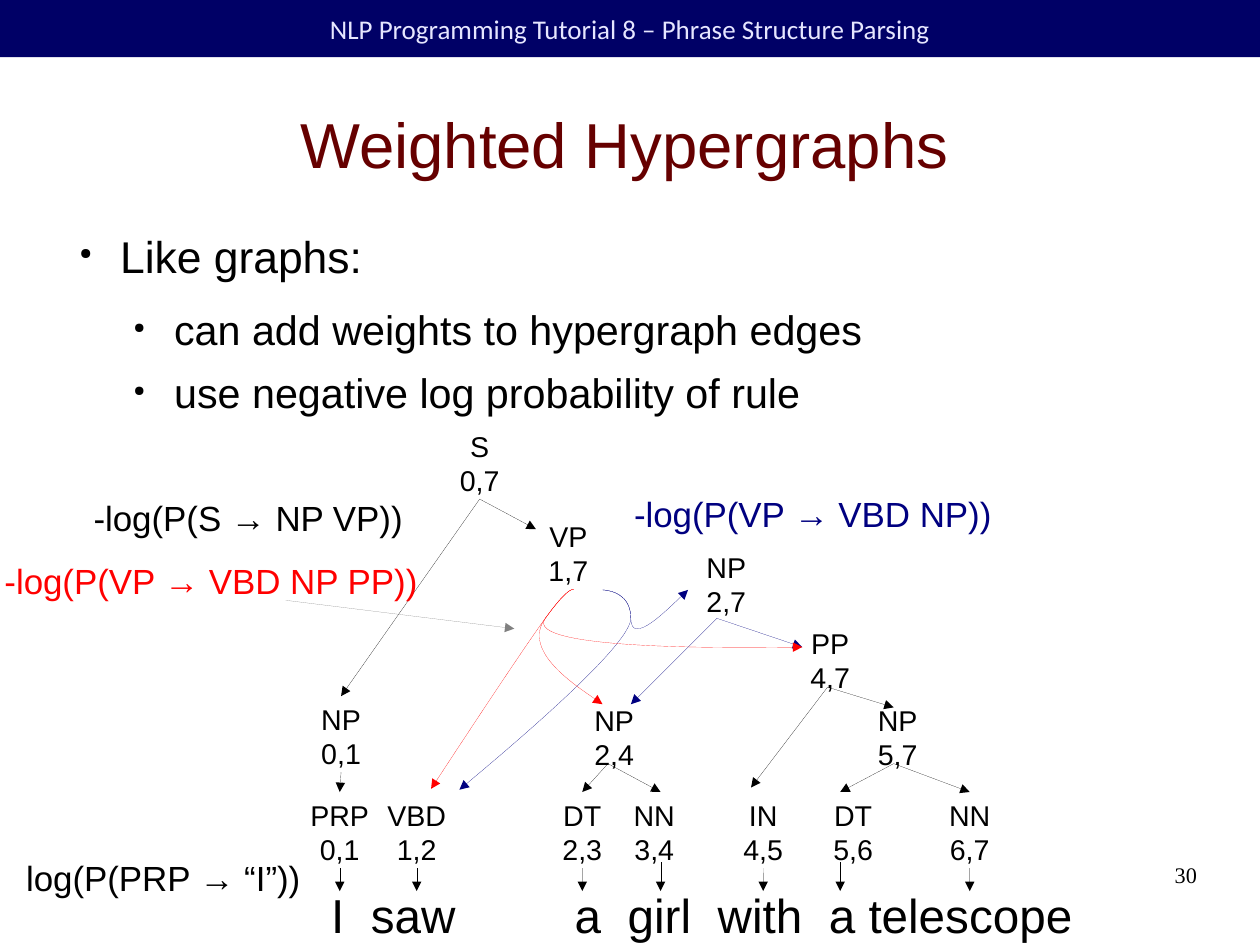
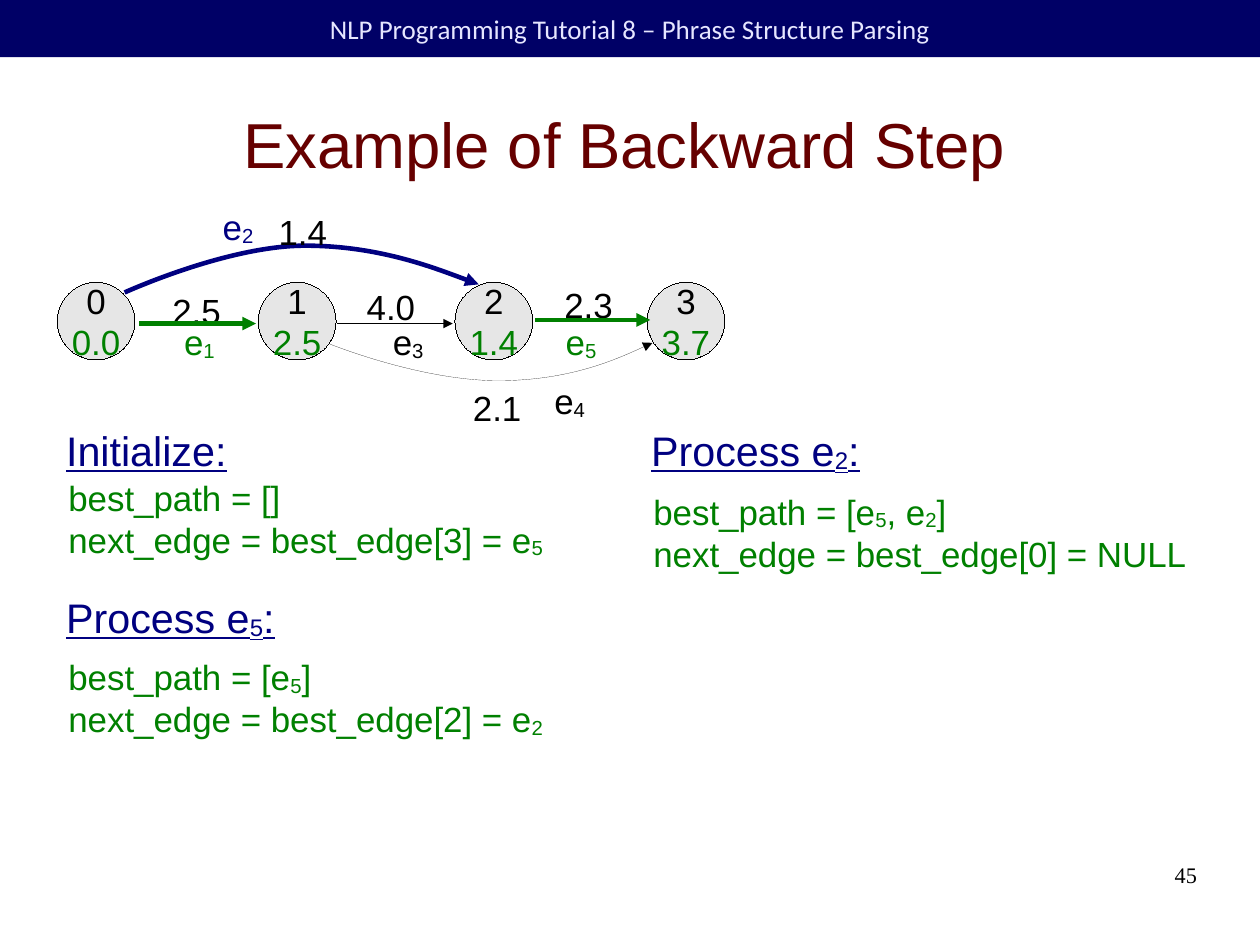
"""Build two tutorial slides: a weighted hypergraph and a backward step."""
from dataclasses import dataclass

from lxml.etree import SubElement
from pptx import Presentation
from pptx.dml.color import RGBColor as Rgb
from pptx.enum.shapes import MSO_CONNECTOR as Connector, MSO_SHAPE as Shape
from pptx.enum.text import MSO_ANCHOR as Anchor, MSO_AUTO_SIZE as AutoSize, PP_ALIGN as Align
from pptx.oxml.ns import qn
from pptx.util import Cm, Pt


@dataclass(frozen=True)
class Theme:
    band: Rgb = Rgb.from_string("000066")
    band_text: Rgb = Rgb.from_string("E6E6FF")
    title: Rgb = Rgb.from_string("660000")
    black: Rgb = Rgb.from_string("000000")
    navy: Rgb = Rgb.from_string("000080")
    red: Rgb = Rgb.from_string("FF0000")
    green: Rgb = Rgb.from_string("008000")
    grey: Rgb = Rgb.from_string("808080")
    node: Rgb = Rgb.from_string("E6E6E6")
    font: str = "Arial"
    band_font: str = "Calibri"
    number_font: str = "Times New Roman"
    title_size: int = 40
    sentence_size: int = 30
    bullet_size: int = 28
    heading_size: int = 26
    text_size: int = 22
    tree_size: int = 18
    band_size: int = 17
    number_size: int = 14
    hairline: float = 0
    thick: float = 2.89


theme = Theme()


def add_label(page, text, left, top, width, size, color, align=Align.LEFT, underline=None):
    """Add unwrapped text; pieces between tildes alternate with subscripts."""
    lines = text.split("\n")
    height = 0.25 + len(lines) * size * 0.04
    box = page.shapes.add_textbox(Cm(left), Cm(top), Cm(width), Cm(height))
    frame = box.text_frame
    frame.word_wrap = False
    frame.auto_size = AutoSize.SHAPE_TO_FIT_TEXT
    if align == Align.CENTER:
        frame.margin_left = frame.margin_right = 0
    for row, line in enumerate(lines):
        para = frame.add_paragraph() if row else frame.paragraphs[0]
        para.alignment = align
        for index, piece in enumerate(line.split("~")):
            if not piece:
                continue
            span = para.add_run()
            span.text = piece
            span.font.name = theme.font
            span.font.size = Pt(size)
            span.font.color.rgb = color
            span.font.underline = underline
            if index % 2:
                span._r.get_or_add_rPr().set("baseline", "-8000")
    return box


def draw_arrow(page, points, color, width=theme.hairline):
    """Draw a straight arrow through two points, or a Bezier arrow through more."""
    places = [(Cm(x), Cm(y)) for x, y in points]
    if len(places) == 2:
        arrow = page.shapes.add_connector(Connector.STRAIGHT, *places[0], *places[1])
    else:
        builder = page.shapes.build_freeform(*places[0], scale=1.0)
        builder.add_line_segments(places[1:], close=False)
        arrow = builder.convert_to_shape()
        arrow.fill.background()
        outline = next(arrow.element.iter(qn("a:path")))
        steps = outline.findall(qn("a:lnTo"))
        for first in range(0, len(steps), 3):
            curve = SubElement(outline, qn("a:cubicBezTo"))
            for step in steps[first:first + 3]:
                curve.append(step[0])
                outline.remove(step)
    arrow.element.remove(arrow.element.find(qn("p:style")))
    arrow.line.color.rgb = color
    arrow.line.width = Pt(width)
    properties = arrow.element.spPr
    SubElement(properties.find(qn("a:ln")), qn("a:tailEnd"), type="triangle")
    SubElement(properties, qn("a:effectLst"))
    return arrow


deck = Presentation()
deck.slide_width, deck.slide_height = Cm(28), Cm(21)
layout = deck.slide_layouts[5]
pages = []

for heading, number in (("Weighted Hypergraphs", "30"), ("Example of Backward Step", "45")):
    page = deck.slides.add_slide(layout)
    pages.append(page)
    title = page.shapes.title
    title.left, title.top, title.width, title.height = Cm(1.27), Cm(1.57), Cm(25.2), Cm(3.23)
    corner = page.shapes.add_textbox(Cm(20.07), Cm(19.13), Cm(6.53), Cm(1.45))
    for box, text, anchor, align, font, size, color in (
        (title, heading, Anchor.MIDDLE, Align.CENTER, theme.font, theme.title_size, theme.title),
        (corner, number, Anchor.TOP, Align.RIGHT, theme.number_font, theme.number_size, theme.black),
    ):
        frame = box.text_frame
        frame.text = text
        frame.word_wrap = True
        frame.vertical_anchor = anchor
        frame.margin_left = frame.margin_right = frame.margin_top = frame.margin_bottom = 0
        para = frame.paragraphs[0]
        para.alignment = align
        span = para.runs[0]
        span.font.name, span.font.size = font, Pt(size)
        span.font.color.rgb = color

tree_page, path_page = pages

band = tree_page.shapes.add_shape(Shape.RECTANGLE, 0, 0, deck.slide_width, Cm(1.27))
band.shadow.inherit = False
band.fill.solid()
band.fill.fore_color.rgb = theme.band
band.line.fill.background()
band.text_frame.text = "NLP Programming Tutorial 8 – Phrase Structure Parsing"
band.text_frame.vertical_anchor = Anchor.MIDDLE
para = band.text_frame.paragraphs[0]
para.alignment = Align.CENTER
span = para.runs[0]
span.font.name, span.font.size = theme.band_font, Pt(theme.band_size)
span.font.color.rgb = theme.band_text
band.element.nvSpPr.cNvPr.set("id", "99")
layout.shapes.element.append(band.element)

body = tree_page.shapes.add_textbox(Cm(1.47), Cm(5.08), Cm(25.2), Cm(4.3))
frame = body.text_frame
frame.word_wrap = True
frame.margin_left = frame.margin_right = frame.margin_top = frame.margin_bottom = 0
frame.text = "Like graphs:\ncan add weights to hypergraph edges\nuse negative log probability of rule"
for para, level in zip(frame.paragraphs, (0, 1, 1)):
    para.level = level
    para.space_after = Cm((0.5, 0.3)[level])
    properties = para._p.get_or_add_pPr()
    properties.set("marL", str(Cm(1.2 * (level + 1))))
    properties.set("indent", str(Cm(-0.9)))
    SubElement(properties, qn("a:buSzPct"), val="35000")
    SubElement(properties, qn("a:buChar"), char="●")
    span = para.runs[0]
    span.font.name = theme.font
    span.font.size = Pt((theme.bullet_size, theme.heading_size)[level])
    span.font.color.rgb = theme.black

sentence = add_label(tree_page, "I\tsaw\ta\tgirl\twith\ta telescope", 7.11, 19.56, 17.5,
                     theme.sentence_size, theme.black)
sentence.text_frame.word_wrap = True
tabs = SubElement(sentence.text_frame.paragraphs[0]._p.get_or_add_pPr(), qn("a:tabLst"))
for stop in (0.88, 5.41, 6.59, 8.59, 11.06):
    SubElement(tabs, qn("a:tab"), pos=str(Cm(stop)), algn="l")

nodes = {}
for name, left, top in (
    ("S 0,7", 9.96, 9.4), ("VP 1,7", 11.93, 11.4), ("NP 2,7", 15.44, 12.09),
    ("PP 4,7", 17.75, 13.79), ("NP 0,1", 6.88, 15.47), ("NP 2,4", 12.95, 15.49),
    ("NP 5,7", 19.25, 15.49),
):
    nodes[name] = add_label(tree_page, name.replace(" ", "\n"), left, top, 1.4,
                            theme.tree_size, theme.black, Align.CENTER)

for name, left, width, shift in (
    ("PRP 0,1", 6.65, 1.8, 0), ("VBD 1,2", 8.36, 1.8, 0), ("DT 2,3", 12.24, 1.4, 0),
    ("NN 3,4", 13.84, 1.4, 0.14), ("IN 4,5", 16.26, 1.4, 0), ("DT 5,6", 18.26, 1.4, -0.29),
    ("NN 6,7", 20.85, 1.4, 0),
):
    nodes[name] = add_label(tree_page, name.replace(" ", "\n"), left, 17.6, width,
                            theme.tree_size, theme.black, Align.CENTER)
    middle = left + width / 2 + shift
    arrow = draw_arrow(tree_page, [(middle, 19.16), (middle, 19.8)], theme.black)
    if not shift:
        arrow.begin_connect(nodes[name], 2)

for start, tip, color, parent, child in (
    ((10.66, 11.08), (11.91, 11.76), theme.black, "S 0,7", None),
    ((10.66, 11.08), (7.58, 15.47), theme.black, "S 0,7", "NP 0,1"),
    ((7.58, 17.15), (7.55, 17.6), theme.black, "NP 0,1", "PRP 0,1"),
    ((13.51, 16.97), (12.94, 17.6), theme.black, None, "DT 2,3"),
    ((13.51, 16.97), (14.68, 17.6), theme.black, None, None),
    ((18.39, 15.27), (16.69, 17.5), theme.black, None, None),
    ((18.39, 15.27), (19.86, 15.72), theme.black, None, None),
    ((19.86, 16.97), (18.67, 17.6), theme.black, None, None),
    ((19.86, 16.97), (21.55, 17.6), theme.black, None, "NN 6,7"),
    ((15.93, 13.74), (17.83, 14.38), theme.navy, None, None),
    ((15.93, 13.74), (14.02, 15.65), theme.navy, None, None),
    ((6.35, 13.34), (11.43, 13.97), theme.grey, None, None),
):
    arrow = draw_arrow(tree_page, [start, tip], color)
    if parent:
        arrow.begin_connect(nodes[parent], 2)
    if child:
        arrow.end_connect(nodes[child], 0)

for color, start, trunk, tips in (
    (theme.navy, (13.39, 13.11), [(14.02, 13.11), (14.02, 13.74), (14.02, 14.38)],
     [(10.21, 17.55), (15.29, 13.11)]),
    (theme.red, (12.75, 13.11), [(12.67, 12.98), (12.12, 13.74), (11.58, 14.48)],
     [(9.58, 17.53), (13.39, 15.65), (17.83, 14.38)]),
):
    for tip in tips:
        draw_arrow(tree_page, [start, start, *trunk, tip, tip], color)

for text, left, top, width, color in (
    ("-log(P(S → NP VP))", 1.83, 10.92, 7.6, theme.black),
    ("-log(P(VP → VBD NP PP))", -0.15, 12.32, 9.9, theme.red),
    ("log(P(PRP → “I”))", 0.33, 18.92, 6.8, theme.black),
    ("-log(P(VP → VBD NP))", 13.84, 10.82, 8.7, theme.navy),
):
    add_label(tree_page, text, left, top, width, theme.text_size, color)

for index, (left, score) in enumerate(
        ((1.27, "0.0"), (5.74, "2.5"), (10.11, "1.4"), (14.38, "3.7"))):
    node = path_page.shapes.add_shape(Shape.OVAL, Cm(left), Cm(6.27), Cm(1.73), Cm(1.73))
    node.element.remove(node.element.find(qn("p:style")))
    node.shadow.inherit = False
    node.fill.solid()
    node.fill.fore_color.rgb = theme.node
    node.line.color.rgb = theme.black
    node.line.width = Pt(theme.hairline)
    frame = node.text_frame
    frame.word_wrap = False
    frame.vertical_anchor = Anchor.MIDDLE
    frame.text = f"{index}\n{score}"
    for para, color in zip(frame.paragraphs, (theme.black, theme.green)):
        para.alignment = Align.CENTER
        span = para.runs[0]
        span.font.name, span.font.size = theme.font, Pt(theme.text_size)
        span.font.color.rgb = color

for weight, left, top in (
    ("2.5", 3.58, 6.3), ("4.0", 7.9, 6.22), ("2.3", 12.29, 6.17), ("2.1", 10.26, 8.46),
):
    add_label(path_page, weight, left, top, 2.31, theme.text_size, theme.black)

for points, color, width in (
    ([(3.1, 7.19), (5.69, 7.19)], theme.green, theme.thick),
    ([(2.77, 6.5), (2.77, 6.5), (5.05, 5.46), (6.78, 5.46),
      (8.48, 5.46), (10.64, 6.32), (10.64, 6.32)], theme.navy, theme.thick),
    ([(7.49, 7.19), (10.06, 7.19)], theme.black, theme.hairline),
    ([(7.34, 7.65), (7.34, 7.65), (9.35, 8.46), (11.07, 8.46),
      (12.78, 8.46), (14.5, 7.62), (14.5, 7.62)], theme.black, theme.hairline),
    ([(11.89, 7.11), (14.45, 7.11)], theme.green, theme.thick),
):
    draw_arrow(path_page, points, color, width)

for text, left, top, width, color in (
    ("1.4", 5.94, 4.55, 2.31, theme.black),
    ("e~1", 3.84, 7.01, 1.52, theme.green),
    ("e~2", 4.7, 4.45, 1.52, theme.navy),
    ("e~3", 8.48, 7.01, 1.52, theme.black),
    ("e~4", 12.07, 8.31, 1.52, theme.black),
    ("e~5", 12.32, 7.01, 1.52, theme.green),
):
    add_label(path_page, text, left, top, width, theme.text_size, color)

for heading, state, left, top, gap, width in (
    ("Initialize:", "best_path = []\nnext_edge = best_edge[3] = e~5", 1.22, 9.32, 1.14, 11.3),
    ("Process e~5~:", "best_path = [e~5~]\nnext_edge = best_edge[2] = e~2",
     1.22, 13.03, 1.42, 11.3),
    ("Process e~2~:", "best_path = [e~5~, e~2~]\nnext_edge = best_edge[0] = NULL",
     14.22, 9.32, 1.45, 12.6),
):
    add_label(path_page, heading, left, top, 5.5, theme.heading_size, theme.navy, underline=True)
    add_label(path_page, state, left + 0.05, top + gap, width, theme.text_size, theme.green)

deck.save("out.pptx")
